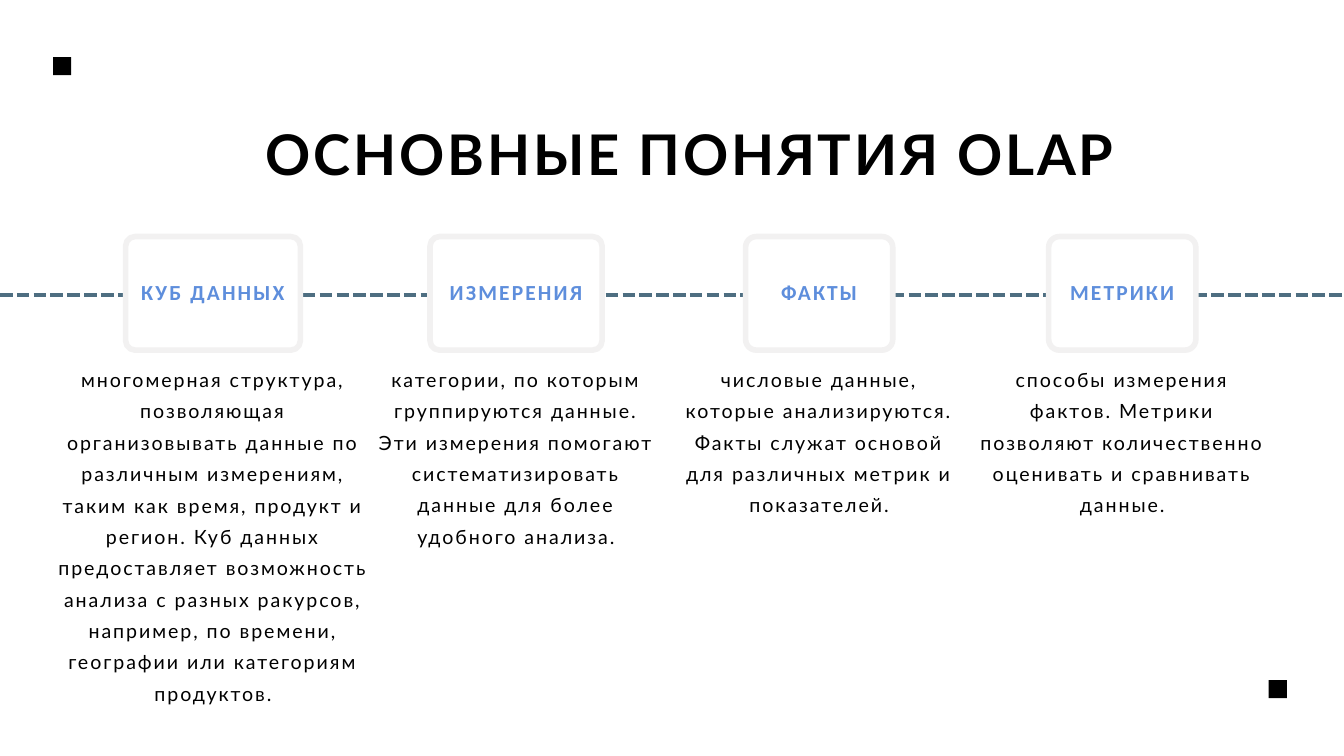
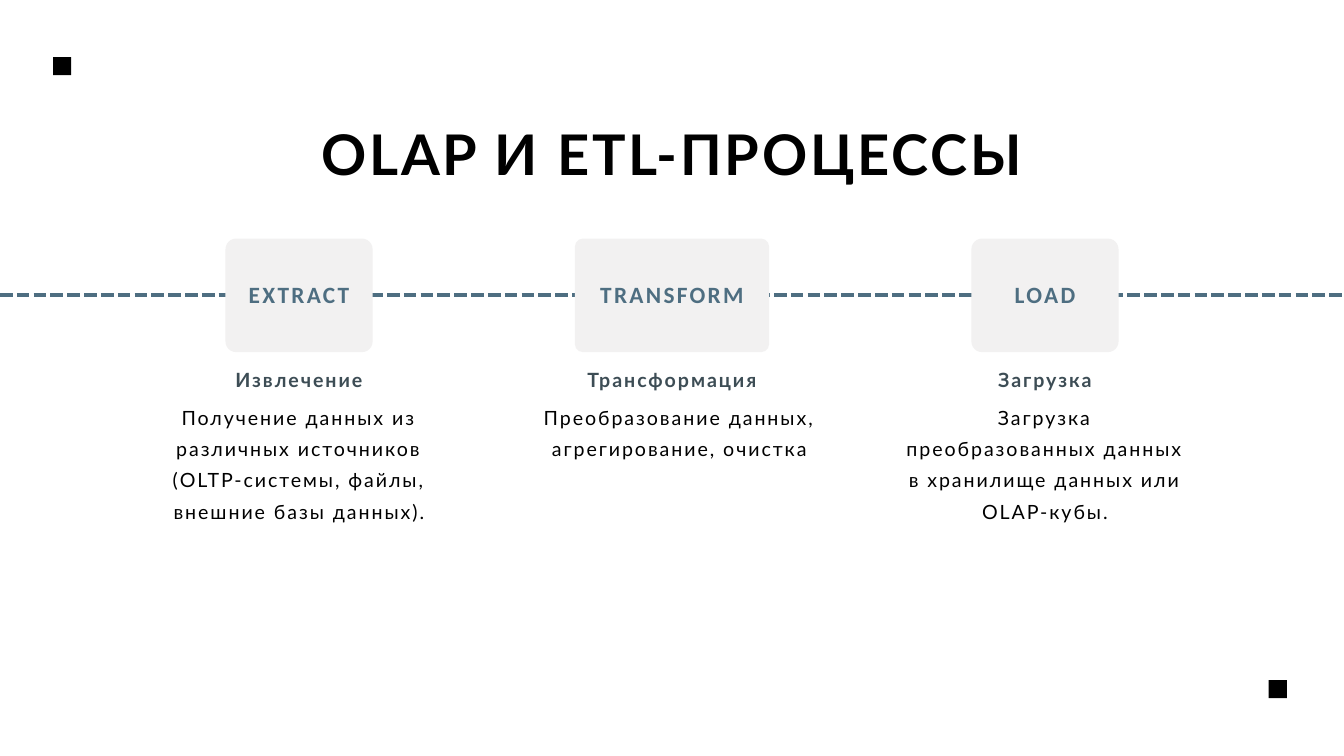
from pptx import Presentation
from pptx.dml.color import RGBColor
from pptx.enum.dml import MSO_LINE
from pptx.enum.shapes import MSO_CONNECTOR, MSO_SHAPE
from pptx.enum.text import MSO_ANCHOR, MSO_AUTO_SIZE, PP_ALIGN
from pptx.util import Inches, Pt
from lxml.etree import SubElement
from pptx.oxml.ns import qn

BLACK, WHITE, GREY = "000000", "FFFFFF", "F2F1F1"
STEEL, BLUE, SLATE = "4E6E81", "5E8EDC", "3D4D55"
SLIDE_W, SLIDE_H = 20, 11.25
LINE_Y = 4.39
BOX_H = 1.69
COLUMN_W = 4.23
CAPTION_Y, BODY_Y = 5.36, 5.92

CONCEPTS = [
    ("КУБ ДАННЫХ", 2.6, 0.14, 4.69, 5.02,
     "многомерная структура, позволяющая организовывать данные по различным "
     "измерениям, таким как время, продукт и регион. Куб данных предоставляет "
     "возможность анализа с разных ракурсов, например, по времени, географии "
     "или категориям продуктов."),
    ("ИЗМЕРЕНИЯ", 2.56, 0.14, COLUMN_W, 2.73,
     "категории, по которым группируются данные. Эти измерения помогают "
     "систематизировать данные для более удобного анализа."),
    ("ФАКТЫ", 2.19, 0.16, COLUMN_W, 2.27,
     "числовые данные, которые анализируются. Факты служат основой для "
     "различных метрик и показателей."),
    ("МЕТРИКИ", 2.19, 0.16, COLUMN_W, 2.27,
     "способы измерения фактов. Метрики позволяют количественно оценивать и "
     "сравнивать данные."),
]

STAGES = [
    ("EXTRACT", 2.19, 0.16, "Извлечение", 0, 1.81,
     "Получение данных из различных источников (OLTP-системы, файлы, внешние "
     "базы данных)."),
    ("TRANSFORM", 2.89, 0.12, "Трансформация", 0.11, 0.89,
     "Преобразование данных, агрегирование, очистка"),
    ("LOAD", 2.19, 0.16, "Загрузка", 0, 1.81,
     "Загрузка преобразованных данных в хранилище данных или OLAP-кубы."),
]


def rgb(color):
    """Turn a hex string into a colour."""
    return RGBColor.from_string(color)


def write(tf, text, size, color, spacing, leading, font="Lato", bold=False):
    """Write one centred, letter-spaced paragraph."""
    tf.word_wrap = True
    p = tf.paragraphs[0]
    p.text = text
    p.alignment = PP_ALIGN.CENTER
    p.line_spacing = Pt(leading)
    r = p.runs[0]
    r.font.name = font
    r.font.size = Pt(size)
    r.font.bold = bold
    r.font.color.rgb = rgb(color)
    r._r.get_or_add_rPr().set("spc", str(round(spacing * 100)))


def set_margins(tf, left, top, right, bottom):
    """Set the four inner margins in inches."""
    tf.margin_left, tf.margin_top = Inches(left), Inches(top)
    tf.margin_right, tf.margin_bottom = Inches(right), Inches(bottom)


def add_text(s, center, top, width, height, text, size=21, color=BLACK,
             spacing=2.1, leading=33.6, bold=False):
    """Add a text box centred on a given x."""
    sp = s.shapes.add_textbox(Inches(center - width / 2), Inches(top),
                              Inches(width), Inches(height))
    tf = sp.text_frame
    set_margins(tf, 0, 0, 0, 0)
    write(tf, text, size, color, spacing, leading, bold=bold)
    tf.auto_size = MSO_AUTO_SIZE.SHAPE_TO_FIT_TEXT


def add_block(s, kind, left, top, width, height, fill):
    """Add a filled shape without outline or shadow."""
    sp = s.shapes.add_shape(kind, Inches(left), Inches(top),
                            Inches(width), Inches(height))
    sp.shadow.inherit = False
    sp.fill.solid()
    sp.fill.fore_color.rgb = rgb(fill)
    sp.line.fill.background()
    return sp


def add_label_box(s, center, top, width, radius, text, size, color, fill,
                  outline=None):
    """Add a rounded box with its label on the timeline."""
    sp = add_block(s, MSO_SHAPE.ROUNDED_RECTANGLE, center - width / 2, top,
                   width, BOX_H, fill)
    sp.adjustments[0] = radius / BOX_H
    if outline:
        sp.line.color.rgb = rgb(outline)
        sp.line.width = Pt(6)
    tf = sp.text_frame
    tf.vertical_anchor = MSO_ANCHOR.MIDDLE
    set_margins(tf, 0.06, 0.06, 0.06, 0.2)
    write(tf, text, size, color, size / 10, size * 1.5, "Calibri", True)


def add_timeline(s):
    """Draw the dashed line across the slide."""
    line = s.shapes.add_connector(MSO_CONNECTOR.STRAIGHT, 0, Inches(LINE_Y),
                                  Inches(SLIDE_W), Inches(LINE_Y))
    line.line.color.rgb = rgb(STEEL)
    line.line.width = Pt(4.5)
    line.line.dash_style = MSO_LINE.SQUARE_DOT
    SubElement(line._element.spPr, qn("a:effectLst"))


def add_base_slide(prs, title, title_center):
    """Add a slide with timeline, title and corner squares."""
    s = prs.slides.add_slide(prs.slide_layouts[6])
    s.background.fill.solid()
    s.background.fill.fore_color.rgb = rgb(WHITE)
    add_timeline(s)
    add_text(s, title_center, 1.61, 17.36, 1.18, title, 60, spacing=3,
             leading=84, bold=True)
    for left, top in ((18.88, 10.12), (0.79, 0.85)):
        add_block(s, MSO_SHAPE.RECTANGLE, left, top, 0.27, 0.27, BLACK)
    return s


def add_concepts_slide(prs):
    """Add the slide on the basic concepts."""
    s = add_base_slide(prs, "ОСНОВНЫЕ ПОНЯТИЯ OLAP", 10.27)
    for i, (label, box_w, radius, body_w, body_h, body) in enumerate(CONCEPTS):
        center = 3.17 + 4.51 * i
        add_label_box(s, center, 3.52, box_w, radius, label, 23, BLUE, WHITE,
                      GREY)
        add_text(s, center, CAPTION_Y, body_w, body_h, body)


def add_stages_slide(prs):
    """Add the slide on the three process stages."""
    s = add_base_slide(prs, "OLAP И ETL-ПРОЦЕССЫ", 10)
    for i, (label, box_w, radius, caption, shift, body_h, body) in enumerate(STAGES):
        center = 4.45 + 5.55 * i
        add_label_box(s, center, 3.55, box_w, radius, label, 25, STEEL, GREY)
        add_text(s, center, CAPTION_Y, COLUMN_W, 0.44, caption, color=SLATE,
                 bold=True)
        add_text(s, center + shift, BODY_Y, COLUMN_W, body_h, body)


def main():
    """Build and save the presentation."""
    prs = Presentation()
    prs.slide_width, prs.slide_height = Inches(SLIDE_W), Inches(SLIDE_H)
    add_concepts_slide(prs)
    add_stages_slide(prs)
    prs.save("out.pptx")


if __name__ == "__main__":
    main()
